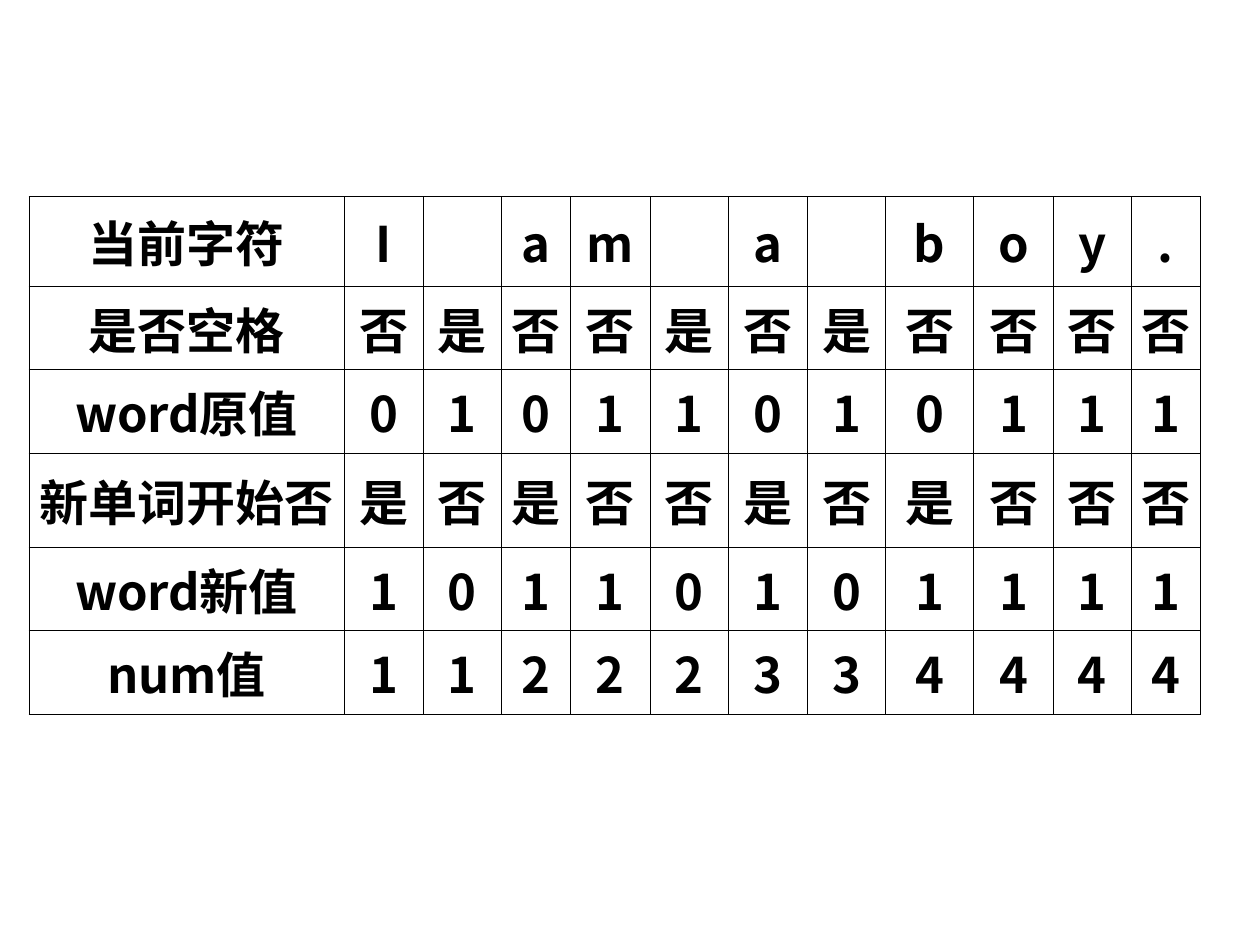
import pptx
import pptx.util
import pptx.dml.color
import pptx.enum.text
import pptx.oxml
import pptx.oxml.ns

INK = {"text": "000000", "rule": "000000"}
FONT = {"main": "Noto Sans CJK SC", "serif": "Times New Roman"}

# One label and eleven characters per row
HEADS = ["当前字符", "是否空格", "word原值", "新单词开始否", "word新值", "num值"]
VALUES = ["I am a boy.", "否是否否是否是否否否否", "01011010111",
          "是否是否否是否是否否否", "10110101111", "11222334444"]
SERIF = {(3, col) for col in (4, 5, 9, 10, 11)}

# Column and row sizes in inches
COLS = [2.5, 0.63, 0.62, 0.55, 0.63, 0.62, 0.63, 0.62, 0.7, 0.63, 0.62, 0.55]
ROWS = [0.71, 0.66, 0.66, 0.75, 0.66, 0.66]


def add_rules(cell):
    """Draw a thin line on all four sides of a cell."""
    props = cell._tc.get_or_add_tcPr()
    space = pptx.oxml.ns.nsdecls("a")
    width = pptx.util.Pt(0.45)
    for at, side in enumerate(("lnL", "lnR", "lnT", "lnB")):
        props.insert(at, pptx.oxml.parse_xml(
            f'<a:{side} {space} w="{width}"><a:solidFill>'
            f'<a:srgbClr val="{INK["rule"]}"/></a:solidFill></a:{side}>'))


def fill_cell(cell, text, face):
    """Set the text and look of one cell."""
    cell.fill.background()
    cell.vertical_anchor = pptx.enum.text.MSO_ANCHOR.MIDDLE
    cell.margin_left = cell.margin_right = pptx.util.Inches(0.08)
    cell.margin_top = cell.margin_bottom = pptx.util.Inches(0.05)
    add_rules(cell)
    para = cell.text_frame.paragraphs[0]
    para.alignment = pptx.enum.text.PP_ALIGN.CENTER
    para.text = text
    for run in para.runs:
        font = run.font
        font.size = pptx.util.Pt(28)
        font.bold = True
        font.name = face
        font.color.rgb = pptx.dml.color.RGBColor.from_string(INK["text"])
        # East Asian typeface
        east = pptx.oxml.parse_xml(
            f'<a:ea {pptx.oxml.ns.nsdecls("a")} typeface="{FONT["main"]}"/>')
        run._r.rPr.find(pptx.oxml.ns.qn("a:latin")).addnext(east)


def add_trace(slide, left, top):
    """Place the word-count trace table with its corner at left, top."""
    inch = pptx.util.Inches
    table = slide.shapes.add_table(
        len(ROWS), len(COLS), inch(left), inch(top),
        inch(sum(COLS)), inch(sum(ROWS))).table
    table.first_row = table.horz_banding = False
    for col, width in zip(table.columns, COLS):
        col.width = inch(width)
    for row, height in zip(table.rows, ROWS):
        row.height = inch(height)
    for r, (head, marks) in enumerate(zip(HEADS, VALUES)):
        for c, text in enumerate([head, *marks]):
            face = FONT["serif" if (r, c) in SERIF else "main"]
            fill_cell(table.cell(r, c), text.strip(), face)


def main():
    deck = pptx.Presentation()
    deck.slide_width = pptx.util.Inches(10)
    deck.slide_height = pptx.util.Inches(7.5)
    slide = deck.slides.add_slide(deck.slide_layouts[6])
    add_trace(slide, 0.23, 1.56)
    deck.save("out.pptx")


if __name__ == "__main__":
    main()
